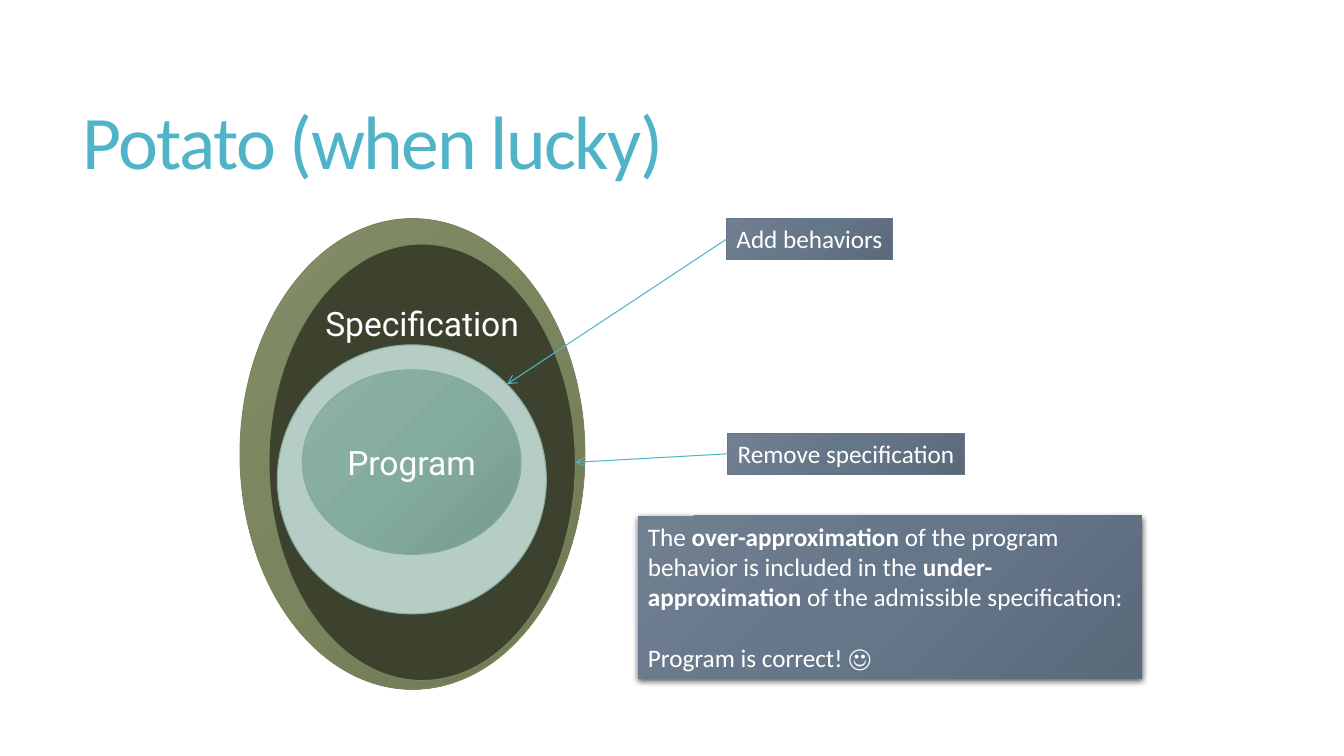
from pptx import Presentation
from pptx import util as u
from pptx.dml.color import RGBColor
from pptx.enum import shapes, text
from pptx.oxml import parse_xml
from pptx.oxml.ns import nsdecls, qn

WHITE = RGBColor(0xFF, 0xFF, 0xFF)
TEAL = RGBColor(0x50, 0xB4, 0xC8)
OLIVE = RGBColor(0x7A, 0x85, 0x5D)
DARK_OLIVE = RGBColor(0x3D, 0x42, 0x2E)
GREEN = RGBColor(0x84, 0xAC, 0x9D)
PALE_GREEN = RGBColor(0xB5, 0xCD, 0xC4)
SLATE = RGBColor(0x65, 0x76, 0x89)
OLIVE_SHADES = (RGBColor(0x83, 0x8E, 0x69), OLIVE, RGBColor(0x6E, 0x77, 0x54))
GREEN_SHADES = (RGBColor(0x8E, 0xB2, 0xA4), GREEN, RGBColor(0x76, 0x9B, 0x8D))
SLATE_SHADES = (RGBColor(0x71, 0x80, 0x91), SLATE, RGBColor(0x5B, 0x6A, 0x7B))


def add_filled(page, kind, bounds, shades, outline):
    shape = page.shapes.add_shape(kind, *[u.Cm(length) for length in bounds])
    shape.shadow.inherit = False
    if len(shades) == 1:
        shape.fill.solid()
        shape.fill.fore_color.rgb = shades[0]
    else:
        shape.fill.gradient()
        gradient = shape._element.spPr.find(qn("a:gradFill"))
        stops = "".join(
            f'<a:gs pos="{place * 50000}"><a:srgbClr val="{shade}"/></a:gs>'
            for place, shade in enumerate(shades))
        gradient.getparent().replace(gradient, parse_xml(
            f'<a:gradFill {nsdecls("a")} rotWithShape="1"><a:gsLst>{stops}</a:gsLst>'
            '<a:lin ang="2700000" scaled="0"/></a:gradFill>'))
    if outline is None:
        shape.line.fill.background()
    else:
        shape.line.color.rgb = outline
        shape.line.width = u.Pt(0.75)
    return shape


def style(para, size, name, color, align):
    para.alignment = align
    para.font.size = u.Pt(size)
    para.font.name = name
    para.font.color.rgb = color


deck = Presentation()
deck.slide_width, deck.slide_height = u.Cm(33.87), u.Cm(19.05)
page = deck.slides.add_slide(deck.slide_layouts[6])
LEFT, CENTER = text.PP_ALIGN.LEFT, text.PP_ALIGN.CENTER

title = page.shapes.add_textbox(u.Cm(1.83), u.Cm(1.4), u.Cm(29.92), u.Cm(4.6))
title.text_frame.word_wrap = True
title.text_frame.vertical_anchor = text.MSO_ANCHOR.MIDDLE
para = title.text_frame.paragraphs[0]
para.line_spacing = 0.85
span = para.add_run()
span.text = "Potato (when lucky)"
span._r.get_or_add_rPr().set("spc", "-120")
style(para, 54, "Calibri", TEAL, LEFT)

ovals = [
    ((6.05, 5.51, 8.69, 11.86), OLIVE_SHADES, OLIVE, ""),
    ((6.78, 6.15, 7.72, 11), (DARK_OLIVE,), OLIVE, "Specification"),
    ((6.99, 8.69, 6.78, 6.78), (PALE_GREEN,), GREEN, ""),
    ((7.62, 9.32, 5.51, 4.65), GREEN_SHADES, GREEN, "Program"),
]
for bounds, shades, outline, words in ovals:
    oval = add_filled(page, shapes.MSO_SHAPE.OVAL, bounds, shades, outline)
    if words:
        frame = oval.text_frame
        frame.text = words
        frame.vertical_anchor = text.MSO_ANCHOR.MIDDLE
        style(frame.paragraphs[0], 24, "Roboto", WHITE, CENTER)
    if words == "Specification":
        frame.vertical_anchor = text.MSO_ANCHOR.TOP
        frame.margin_top = u.Cm(-0.13)

labels = [
    ("Add behaviors", (18.31, 5.51, 4.19, 1.03), (12.78, 9.68)),
    ("Remove specification", (18.34, 10.92, 5.97, 1.03), (14.5, 11.65)),
]
for words, bounds, target in labels:
    label = add_filled(page, shapes.MSO_SHAPE.RECTANGLE, bounds, SLATE_SHADES, SLATE)
    label.text_frame.text = words
    label.text_frame.word_wrap = False
    label.text_frame.vertical_anchor = text.MSO_ANCHOR.TOP
    style(label.text_frame.paragraphs[0], 18, "Calibri", WHITE, LEFT)

    end_x, end_y = [u.Cm(length) for length in target]
    arrow = page.shapes.add_connector(
        shapes.MSO_CONNECTOR.STRAIGHT, label.left, label.top, end_x, end_y)
    arrow.begin_connect(label, 1)
    arrow.line.color.rgb = TEAL
    arrow.line.width = u.Pt(0.75)
    arrow.line._get_or_add_ln().append(
        parse_xml(f'<a:tailEnd {nsdecls("a")} type="arrow"/>'))
    arrow._element.spPr.append(parse_xml(f'<a:effectLst {nsdecls("a")}/>'))

panel = add_filled(page, shapes.MSO_SHAPE.RECTANGLE, (16.08, 13, 12.7, 4.11),
                   SLATE_SHADES, None)
panel._element.spPr.find(qn("a:effectLst")).append(parse_xml(
    f'<a:outerShdw {nsdecls("a")} blurRad="57150" dist="19050" dir="5400000" '
    'algn="ctr" rotWithShape="0"><a:srgbClr val="000000"><a:alpha val="63000"/>'
    '</a:srgbClr></a:outerShdw>'))
frame = panel.text_frame
frame.word_wrap = True
frame.vertical_anchor = text.MSO_ANCHOR.TOP
claim = frame.paragraphs[0]
for words, bold in [
    ("The ", False),
    ("over-approximation ", True),
    ("of the program behavior is included in the ", False),
    ("under-approximation ", True),
    ("of the admissible specification:", False),
]:
    span = claim.add_run()
    span.text = words
    span.font.bold = bold
verdict = frame.add_paragraph()
verdict.text = "Program is correct! ☺"
verdict.space_before = u.Pt(22)
for para in frame.paragraphs:
    style(para, 18, "Calibri", WHITE, LEFT)

deck.save("out.pptx")
